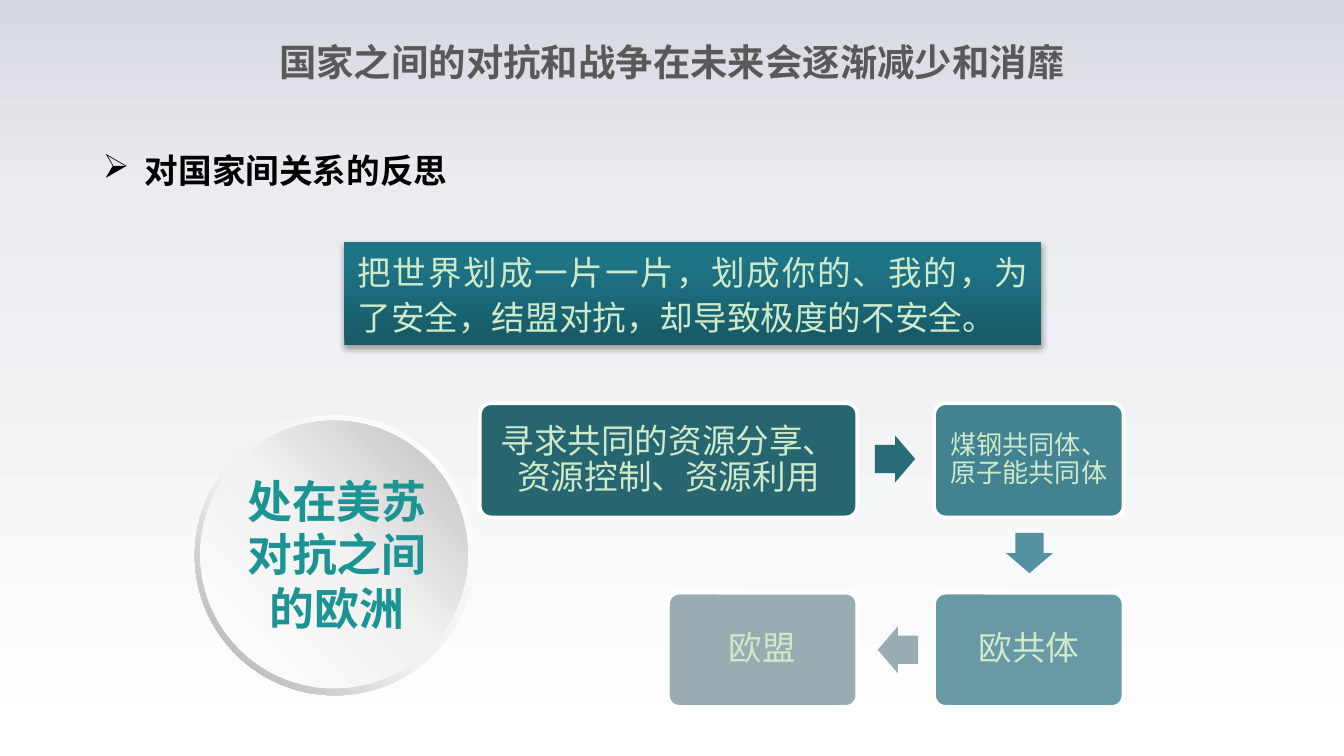
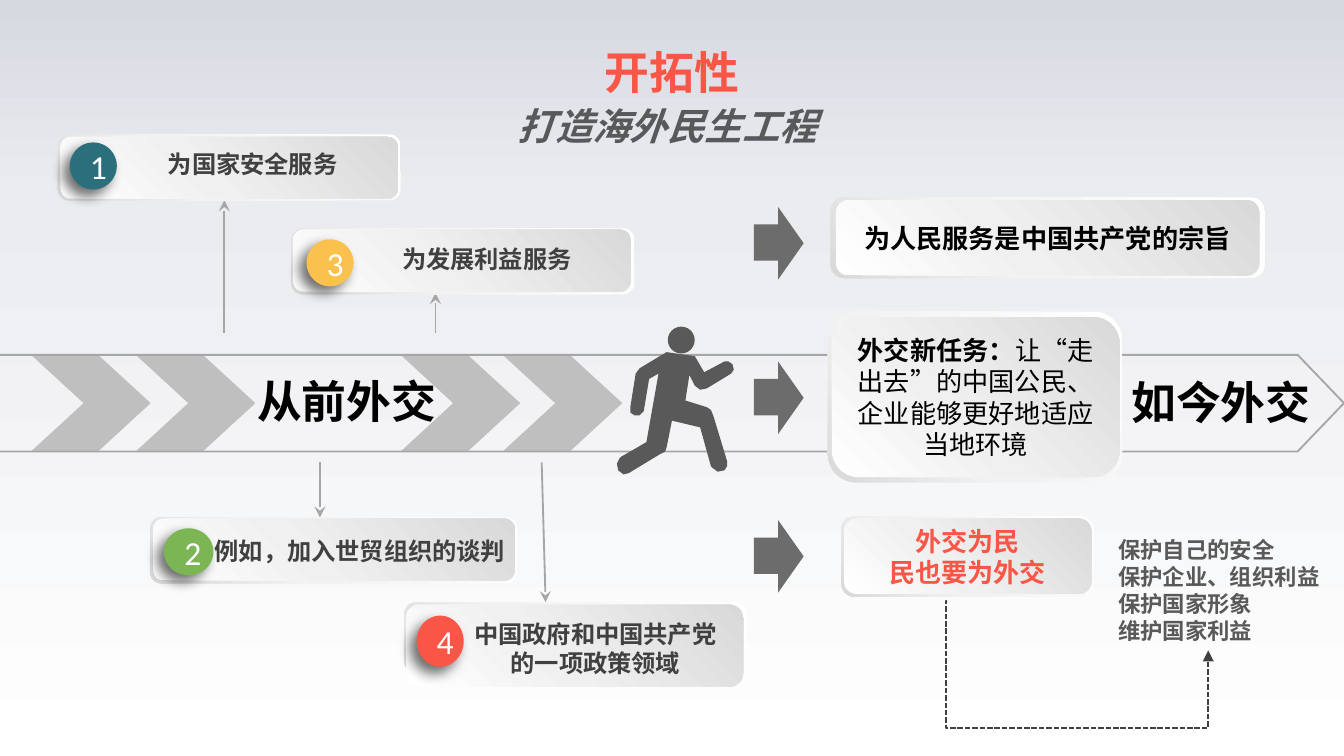
import pptx
import pptx.util
import pptx.dml.color
import pptx.enum.dml
import pptx.enum.shapes
import pptx.enum.text
import pptx.oxml.ns
from lxml import etree

Pt = pptx.util.Pt
RGBColor = pptx.dml.color.RGBColor
SHAPE = pptx.enum.shapes.MSO_SHAPE
CONNECTOR = pptx.enum.shapes.MSO_CONNECTOR
ALIGN = pptx.enum.text.PP_ALIGN
ANCHOR = pptx.enum.text.MSO_ANCHOR
qn = pptx.oxml.ns.qn

CJK = "Noto Sans CJK SC"
WHITE = RGBColor(0xFF, 0xFF, 0xFF)
BLACK = RGBColor(0x00, 0x00, 0x00)
MINT = RGBColor(0xCE, 0xEA, 0xCA)
TEAL = RGBColor(0x1C, 0x94, 0x94)
RED = RGBColor(0xF9, 0x56, 0x47)
GREEN = RGBColor(0x7C, 0xB5, 0x54)
YELLOW = RGBColor(0xFA, 0xC1, 0x4D)
DEEP_TEAL = RGBColor(0x2B, 0x6F, 0x7D)
INK = RGBColor(0x40, 0x40, 0x40)
GRAY = RGBColor(0x59, 0x59, 0x59)
SUBTITLE_GRAY = RGBColor(0x58, 0x59, 0x5B)
ARROW_GRAY = RGBColor(0x6C, 0x6C, 0x6C)
RULE_GRAY = RGBColor(0xA6, 0xA6, 0xA6)
SILVER = RGBColor(0xBF, 0xBF, 0xBF)
PALE = RGBColor(0xF2, 0xF2, 0xF2)
LIGHT = RGBColor(0xD9, 0xD9, 0xD9)

BACKDROP = [(0, RGBColor(0xD7, 0xD9, 0xE1)), (26, RGBColor(0xEB, 0xEC, 0xF0)), (100, WHITE)]
QUOTE_FILL = [(0, RGBColor(0x17, 0x59, 0x66)), (80, RGBColor(0x1E, 0x73, 0x85)),
              (100, RGBColor(0x1C, 0x75, 0x88))]
RING_FILL = [(0, WHITE), (55, PALE), (100, RULE_GRAY)]
DISC_FILL = [(0, WHITE), (51, PALE), (100, SILVER)]
FRAME_FILL = [(0, WHITE), (62, PALE), (100, LIGHT)]
FACE_FILL = [(0, WHITE), (42, RGBColor(0xF0, 0xF0, 0xF0)), (100, LIGHT)]

STEPS = [
    ((257, 216, 202.3, 61.2), RGBColor(0x27, 0x65, 0x71), "寻求共同的资源分享、资源控制、资源利用", 18),
    ((500.4, 216, 101.5, 61.2), RGBColor(0x43, 0x82, 0x91), "煤钢共同体、原子能共同体", 14),
    ((500.4, 317.5, 101.5, 61.2), RGBColor(0x6A, 0x99, 0xA6), "欧共体", 18),
    ((357.8, 317.5, 101.5, 61.2), RGBColor(0x9A, 0xAC, 0xB2), "欧盟", 18),
]
STEP_ARROWS = [
    (468.7, 233.3, 0, RGBColor(0x29, 0x6A, 0x77)),
    (540.7, 283.7, 90, RGBColor(0x55, 0x92, 0xA1)),
    (470.2, 335.5, 180, RGBColor(0x99, 0xAC, 0xB2)),
]
CARDS = [
    ((31, 72, 183.6, 35.3), (32.4, 73.4, 180.7, 33.1), (37.4, 76.3, 25.2, 25.2),
     (57.6, 79.9, 155.5, 15.8), DEEP_TEAL, "Arial", ["为国家安全服务"]),
    ((80.6, 277.2, 196.6, 35.3), (82.1, 277.9, 193.7, 33.1), (87.8, 283, 26.6, 25.2),
     (113.8, 287.3, 158, 31.7), GREEN, CJK, ["例如，加入世贸组织的谈判"]),
    ((156.2, 122.4, 183.6, 35.3), (157, 123.1, 180.7, 33.1), (164.2, 128.2, 25.2, 25.2),
     (185.8, 131, 149.8, 15.8), YELLOW, "Arial", ["为发展利益服务"]),
    ((216.7, 322.6, 183.6, 38.2), (217.4, 324, 180.7, 43.9), (223.2, 329.8, 25.2, 27.4),
     (241.2, 331.9, 155.5, 34.6), RED, CJK, ["中国政府和中国共产党", "的一项政策领域"]),
]
CARD_ARROWS = [
    (233.3, 157, 233.3, 178.6), (120.2, 107.3, 120.2, 178.6),
    (292.3, 322.6, 290.2, 247.7), (171.4, 277.2, 171.4, 247.7),
]
RUNNER = [
    (461, 341), (462, 340), (481, 329), (490, 278), (483, 282), (479, 306), (476, 309),
    (472, 309), (469, 307), (469, 303), (473, 278), (476, 274), (496, 262), (517, 265),
    (524, 277), (539, 269), (542, 269), (545, 271), (546, 275), (544, 278), (526, 289),
    (521, 290), (517, 287), (513, 279), (510, 298), (526, 303), (529, 305), (531, 310),
    (541, 343), (541, 347), (539, 350), (534, 351), (530, 348), (529, 347), (521, 318),
    (500, 313), (496, 333), (495, 336), (491, 338), (468, 352), (464, 353), (460, 350),
    (459, 345),
]
BLOCK_ARROW = [(561, 13), (579, 13), (579, 0), (598, 27), (579, 54), (579, 40), (561, 40)]


def style(text, size, color, font=CJK, bold=False, italic=False):
    return text, size, color, font, bold, italic


def add_span(para, text, size, color, font, bold, italic):
    span = para.add_run()
    span.text = text
    span.font.size = Pt(size)
    span.font.name = font
    span.font.bold = bold
    span.font.italic = italic
    span.font.color.rgb = color
    etree.SubElement(span._r.get_or_add_rPr(), qn("a:ea"), typeface=CJK)


def write(box, lines, align=ALIGN.CENTER, anchor=ANCHOR.TOP, inset=None, spacing=None, wrap=True):
    frame = box.text_frame
    frame.word_wrap = wrap
    frame.auto_size = pptx.enum.text.MSO_AUTO_SIZE.NONE
    frame.vertical_anchor = anchor
    if inset is not None:
        frame.margin_left = frame.margin_right = Pt(inset)
        frame.margin_top = frame.margin_bottom = Pt(inset)
    for index, spans in enumerate(lines):
        para = frame.add_paragraph() if index else frame.paragraphs[0]
        para.alignment = align
        if spacing:
            para.line_spacing = spacing
        for span in spans:
            add_span(para, *span)
    return frame


def add_text(slide, area, lines, inset=0, **options):
    box = slide.shapes.add_textbox(*map(Pt, area))
    return write(box, lines, inset=inset, **options)


def add_title(slide, area, span):
    title = slide.shapes.title
    title.left, title.top, title.width, title.height = map(Pt, area)
    write(title, [[span]], inset=0)


def paint_gradient(fill, element, stops, angle):
    fill.gradient()
    gradient = element.find(".//" + qn("a:gradFill"))
    stop_list = gradient.find(qn("a:gsLst"))
    for stop in list(stop_list):
        stop_list.remove(stop)
    for position, color in stops:
        stop = etree.SubElement(stop_list, qn("a:gs"), pos=str(position * 1000))
        etree.SubElement(stop, qn("a:srgbClr"), val=str(color))
    gradient.find(qn("a:lin")).set("ang", str(angle * 60000))


def finish(shape, fill=None, line=None, line_width=1):
    shape.shadow.inherit = False
    if fill is None:
        shape.fill.background()
    else:
        shape.fill.solid()
        shape.fill.fore_color.rgb = fill
    if line is None:
        shape.line.fill.background()
    else:
        shape.line.color.rgb = line
        shape.line.width = Pt(line_width)


def add_figure(slide, kind, area, fill=None, line=None, line_width=1, adjust=(),
               stops=None, angle=0):
    shape = slide.shapes.add_shape(kind, *map(Pt, area))
    finish(shape, fill, line, line_width)
    if stops:
        paint_gradient(shape.fill, shape._element, stops, angle)
    for index, value in enumerate(adjust):
        shape.adjustments[index] = value
    return shape


def add_outline(slide, points, fill):
    builder = slide.shapes.build_freeform(*points[0], scale=Pt(0.72))
    builder.add_line_segments(points[1:], close=True)
    finish(builder.convert_to_shape(), fill)


def cast_shadow(shape, opacity, blur, distance, direction):
    effects = shape._element.spPr.find(qn("a:effectLst"))
    shadow = etree.SubElement(effects, qn("a:outerShdw"), blurRad=str(Pt(blur)),
                              dist=str(Pt(distance)), dir=str(direction * 60000),
                              algn="ctr", rotWithShape="0")
    color = etree.SubElement(shadow, qn("a:srgbClr"), val=str(BLACK))
    etree.SubElement(color, qn("a:alpha"), val=str(opacity * 1000))


def add_arrow(slide, ends, color, tip, head, kind=CONNECTOR.STRAIGHT, dash=None):
    arrow = slide.shapes.add_connector(kind, *map(Pt, ends))
    arrow.line.color.rgb = color
    arrow.line.width = Pt(1)
    if dash:
        arrow.line.dash_style = dash
    etree.SubElement(arrow.line._get_or_add_ln(), qn(tip), type=head)
    etree.SubElement(arrow._element.spPr, qn("a:effectLst"))
    return arrow


def add_panel(slide, frame_area, face_area):
    add_figure(slide, SHAPE.ROUNDED_RECTANGLE, frame_area, stops=FRAME_FILL, angle=135)
    return add_figure(slide, SHAPE.ROUNDED_RECTANGLE, face_area, stops=FACE_FILL, angle=315)


def add_card(slide, number, frame_area, face_area, badge_area, text_area, color, font, lines):
    add_panel(slide, frame_area, face_area)
    badge = add_figure(slide, SHAPE.OVAL, badge_area, color)
    cast_shadow(badge, 57, 7, 5, 135)
    write(badge, [[style(str(number), 18, WHITE, "Calibri")]], anchor=ANCHOR.MIDDLE)
    add_text(slide, text_area, [[style(line, 13, INK, font, True)] for line in lines])


def add_slide(deck):
    slide = deck.slides.add_slide(deck.slide_layouts[5])
    paint_gradient(slide.background.fill, slide._element, BACKDROP, 90)
    return slide


def build_rivalry(deck):
    slide = add_slide(deck)
    add_title(slide, (128, 21, 464, 25),
              style("国家之间的对抗和战争在未来会逐渐减少和消靡", 20, GRAY, bold=True))
    heading = add_text(slide, (48, 66, 201, 40),
                       [[style("对国家间关系的反思", 18, BLACK, "Arial", True)]],
                       inset=None, align=ALIGN.JUSTIFY, spacing=1.5, wrap=False)
    props = heading.paragraphs[0]._p.get_or_add_pPr()
    props.set("marL", str(Pt(22.5)))
    props.set("indent", str(-Pt(22.5)))
    etree.SubElement(props, qn("a:buChar"), char="➢")

    quote = add_figure(slide, SHAPE.RECTANGLE, (184.5, 129.5, 373.5, 55.5),
                       stops=QUOTE_FILL, angle=270)
    cast_shadow(quote, 35, 3.1, 1.8, 90)
    write(quote, [[style("把世界划成一片一片，划成你的、我的，为了安全，结盟对抗，却导致极度的不安全。", 18, MINT)]],
          align=ALIGN.JUSTIFY, spacing=1.1)

    add_figure(slide, SHAPE.DONUT, (104.4, 222.5, 150, 150), adjust=[0.049],
               stops=RING_FILL, angle=135)
    add_figure(slide, SHAPE.OVAL, (107.3, 225.4, 143.3, 143.3), stops=DISC_FILL, angle=315)
    add_text(slide, (128, 253.5, 105, 87), [[style("处在美苏对抗之间的欧洲", 24, TEAL, bold=True)]])

    for area, fill, text, size in STEPS:
        step = add_figure(slide, SHAPE.ROUNDED_RECTANGLE, area, fill, WHITE, 2, [0.1])
        write(step, [[style(text, size, MINT, "Calibri")]], anchor=ANCHOR.MIDDLE,
              inset=6, spacing=0.9)
    for left, top, turn, fill in STEP_ARROWS:
        arrow = add_figure(slide, SHAPE.RIGHT_ARROW, (left, top, 21.6, 25.2), fill,
                           adjust=[0.6, 0.5])
        arrow.rotation = turn


def build_diplomacy(deck):
    slide = add_slide(deck)
    add_title(slide, (280.8, 23.8, 158.4, 28.8), style("开拓性", 24, RED, bold=True))
    for left in (16.6, 72.7, 214.6, 269.3):
        add_figure(slide, SHAPE.CHEVRON, (left, 190.1, 64.1, 51.8), SILVER, adjust=[0.544])
    for ends in CARD_ARROWS:
        add_arrow(slide, ends, RULE_GRAY, "a:headEnd", "stealth")
    add_figure(slide, SHAPE.PENTAGON, (-0.7, 190.1, 720.7, 51.8), line=RULE_GRAY, adjust=[0.48])
    for number, card in enumerate(CARDS, 1):
        add_card(slide, number, *card)

    add_figure(slide, SHAPE.OVAL, (357.8, 175, 14.4, 14.4), GRAY)
    add_outline(slide, RUNNER, GRAY)
    for top in (387, 269, 154):
        add_outline(slide, [(x, y + top) for x, y in BLOCK_ARROW], ARROW_GRAY)

    panels = [
        ((443.5, 167, 157.7, 91.4), (445.7, 169.9, 154.1, 85.7),
         [[style("外交新任务：", 14, BLACK, bold=True),
           style("让“走出去”的中国公民、企业能够更好地适应当地环境", 14, BLACK)]]),
        ((445, 105.8, 232.6, 43.2), (447.8, 107.3, 226.8, 40.3),
         [[style("为人民服务是中国共产党的宗旨", 14, BLACK, bold=True)]]),
        ((450.7, 276.5, 135.4, 43.2), (452.2, 277.9, 132.5, 40.3),
         [[style(line, 14, RED, bold=True)] for line in ("外交为民", "民也要为外交")]),
    ]
    for frame_area, face_area, lines in panels:
        write(add_panel(slide, frame_area, face_area), lines, anchor=ANCHOR.MIDDLE)

    add_text(slide, (269.3, 51.8, 176.4, 31.7),
             [[style("打造海外民生工程", 20, SUBTITLE_GRAY, bold=True, italic=True)]],
             inset=None, wrap=False)
    add_text(slide, (106.6, 200.2, 158.4, 28.8), [[style("从前外交", 24, BLACK, bold=True)]])
    add_text(slide, (605.5, 200.9, 97.2, 28.8), [[style("如今外交", 24, BLACK, bold=True)]])
    goals = ("保护自己的安全", "保护企业、组织利益", "保护国家形象", "维护国家利益")
    add_text(slide, (599, 287.3, 112.3, 58.3),
             [[style(goal, 12, GRAY, bold=True)] for goal in goals], align=ALIGN.JUSTIFY)

    link = add_arrow(slide, (507.6, 321.8, 647.3, 348.5), INK, "a:tailEnd", "triangle",
                     CONNECTOR.ELBOW, pptx.enum.dml.MSO_LINE.SQUARE_DOT)
    geometry = link._element.spPr.find(qn("a:prstGeom"))
    geometry.set("prst", "bentConnector4")
    guides = geometry.find(qn("a:avLst"))
    if guides is None:
        guides = etree.SubElement(geometry, qn("a:avLst"))
    for name, value in (("adj1", -700), ("adj2", 255300)):
        etree.SubElement(guides, qn("a:gd"), name=name, fmla=f"val {value}")


def main():
    deck = pptx.Presentation()
    deck.slide_width, deck.slide_height = Pt(720), Pt(405)
    build_rivalry(deck)
    build_diplomacy(deck)
    deck.save("out.pptx")


if __name__ == "__main__":
    main()
